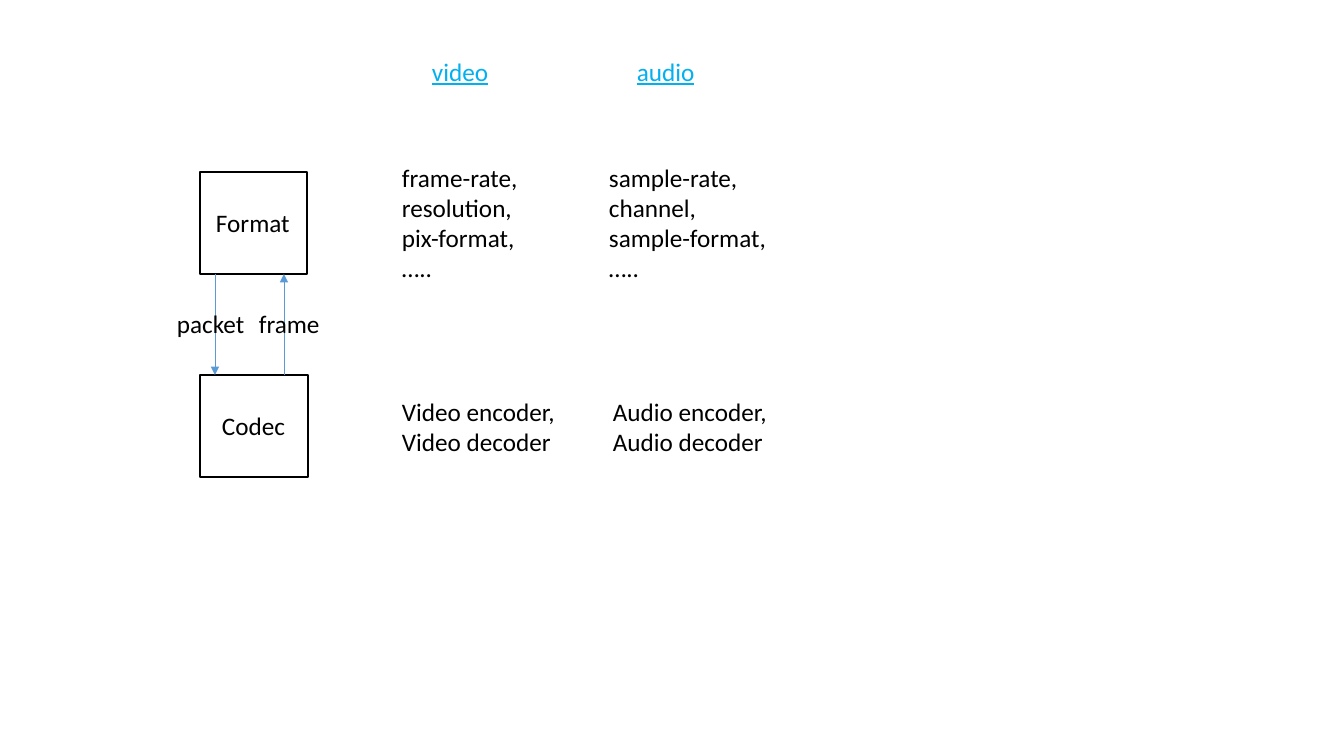
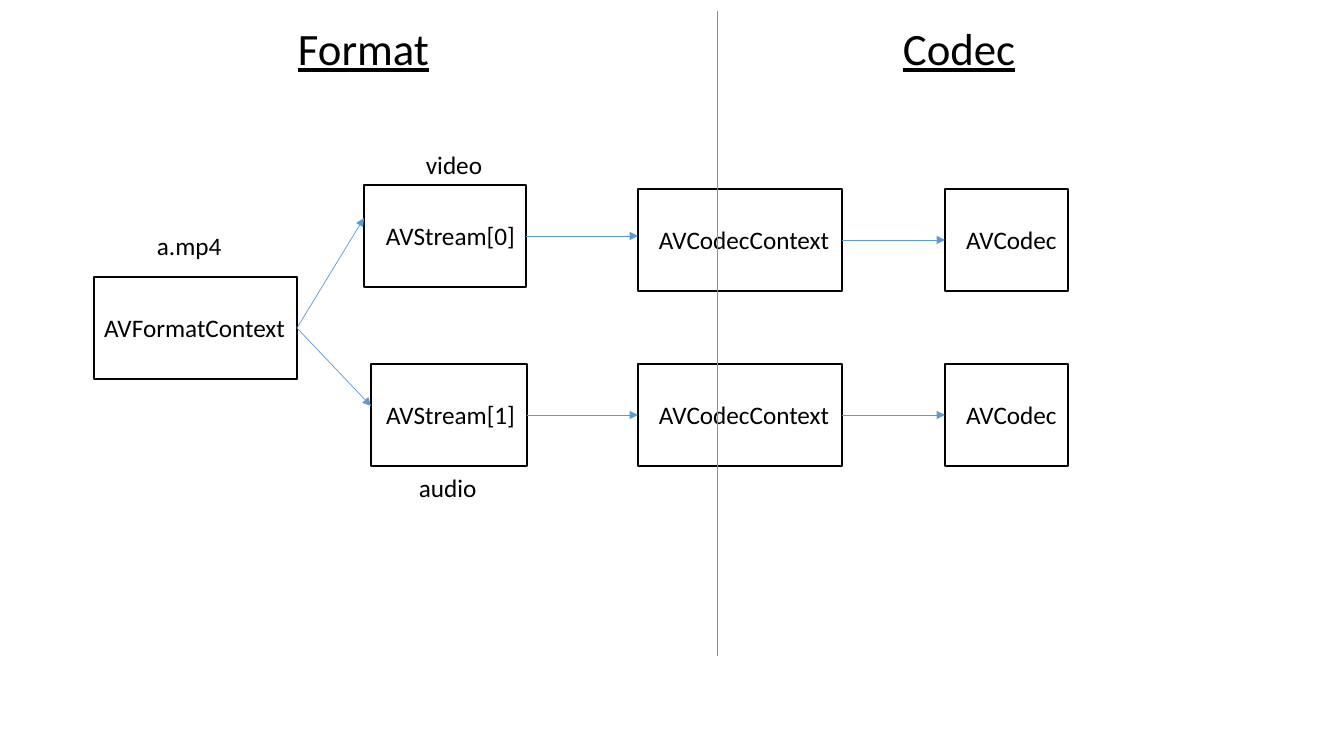
"""Build two slides on how media formats and codecs fit together."""
from dataclasses import dataclass

from lxml import etree
from pptx import Presentation
from pptx.dml.color import RGBColor
from pptx.enum import shapes, text
from pptx.oxml import ns
from pptx.util import Emu, Pt

EMU_PER_PX = 914400 / 100.8
FONT = "Calibri"
BLACK, WHITE, CYAN = "000000", "FFFFFF", "00B0F0"
BLUE, GREEN = "5B9BD5", "70AD47"
BODY, HEADING = 18, 32
INSET = 10
BOX_H = 102


@dataclass(frozen=True)
class Box:
    """A bordered node; inset is the gap left of its label."""
    label: str
    x: int
    y: int
    w: int
    inset: int = INSET

    @property
    def right(self) -> int:
        """Right edge of the node."""
        return self.x + self.w

    @property
    def bottom(self) -> int:
        """Bottom edge of the node."""
        return self.y + BOX_H

    @property
    def mid(self) -> int:
        """Vertical middle of the node."""
        return self.y + BOX_H // 2


@dataclass(frozen=True)
class Label:
    """Free text, one paragraph per line."""
    lines: tuple[str, ...]
    x: int
    y: int
    w: int
    h: int = 40
    size: int = BODY
    color: str = BLACK
    underline: bool = False


@dataclass(frozen=True)
class Line:
    """A straight line, with an arrowhead at its end unless told otherwise."""
    x1: int
    y1: int
    x2: int
    y2: int
    color: str = BLUE
    arrow: bool = True


def px(n: int) -> Emu:
    """Turn pixels into EMU."""
    return Emu(round(n * EMU_PER_PX))


def rgb(value: str) -> RGBColor:
    """Turn a hex string into a colour."""
    return RGBColor.from_string(value)


def write(tf, lines: tuple[str, ...], size: int = BODY,
          color: str = BLACK, underline: bool = False) -> None:
    """Fill a text frame with left-aligned lines."""
    for i, line in enumerate(lines):
        p = tf.add_paragraph() if i else tf.paragraphs[0]
        p.alignment = text.PP_ALIGN.LEFT
        r = p.add_run()
        r.text = line
        r.font.name = FONT
        r.font.size = Pt(size)
        r.font.underline = underline
        r.font.color.rgb = rgb(color)


def draw_box(s, box: Box) -> None:
    """Draw a white node with a black border."""
    sp = s.shapes.add_shape(shapes.MSO_SHAPE.RECTANGLE,
                            px(box.x), px(box.y), px(box.w), px(BOX_H))
    sp.shadow.inherit = False
    sp.fill.solid()
    sp.fill.fore_color.rgb = rgb(WHITE)
    sp.line.color.rgb = rgb(BLACK)
    sp.line.width = Pt(1)
    tf = sp.text_frame
    tf.word_wrap = True
    tf.vertical_anchor = text.MSO_ANCHOR.MIDDLE
    tf.margin_left, tf.margin_right = px(box.inset), 0
    tf.margin_top, tf.margin_bottom = px(5), px(7)
    write(tf, (box.label,))


def draw_label(s, label: Label) -> None:
    """Draw a text box without fill or border."""
    sp = s.shapes.add_textbox(px(label.x), px(label.y), px(label.w), px(label.h))
    tf = sp.text_frame
    tf.word_wrap = False
    write(tf, label.lines, label.size, label.color, label.underline)


def draw_line(s, line: Line) -> None:
    """Draw a thin connector without shadow."""
    c = s.shapes.add_connector(shapes.MSO_CONNECTOR.STRAIGHT,
                               px(line.x1), px(line.y1), px(line.x2), px(line.y2))
    c.line.color.rgb = rgb(line.color)
    c.line.width = Pt(0.5)
    if line.arrow:
        etree.SubElement(c.line._get_or_add_ln(), ns.qn("a:tailEnd"), type="triangle")
    etree.SubElement(c._element.spPr, ns.qn("a:effectLst"))


def add_slide(prs, boxes: list[Box], lines: list[Line], labels: list[Label]) -> None:
    """Add a slide: boxes at the back, then lines, then labels."""
    s = prs.slides.add_slide(prs.slide_layouts.get_by_name("Blank"))
    for items, draw in ((boxes, draw_box), (lines, draw_line), (labels, draw_label)):
        for item in items:
            draw(s, item)


def build_layers(prs) -> None:
    """Slide 1: the format and codec layers, for video and audio."""
    fmt = Box("Format", 200, 172, 107, 16)
    codec = Box("Codec", 200, 375, 108, 22)
    lines = [Line(215, fmt.bottom, 215, codec.y),
             Line(284, codec.y, 284, fmt.bottom)]
    labels = [
        Label(("frame-rate,", "resolution,", "pix-format,", "….."), 392, 157, 137, 132),
        Label(("sample-rate,", "channel,", "sample-format,", "….."), 599, 157, 179, 132),
        Label(("video",), 422, 51, 78, color=CYAN, underline=True),
        Label(("audio",), 627, 51, 79, color=CYAN, underline=True),
        Label(("Video encoder,", "Video decoder"), 392, 391, 175, 72),
        Label(("Audio encoder,", "Audio decoder"), 603, 391, 175, 72),
        Label(("packet",), 167, 303, 89),
        Label(("frame",), 249, 303, 82),
    ]
    add_slide(prs, [fmt, codec], lines, labels)


def build_structures(prs) -> None:
    """Slide 2: from the format context through streams to codecs."""
    source = Box("AVFormatContext", 94, 277, 203)
    streams = [Box("AVStream[0]", 364, 185, 162, 22),
               Box("AVStream[1]", 371, 364, 156, 15)]
    boxes, lines = [source], []
    for stream, row_y, entry_y in zip(streams, (189, 364), (218, 406)):
        context = Box("AVCodecContext", 638, row_y, 204, 21)
        codec = Box("AVCodec", 945, row_y, 123, 21)
        boxes += [stream, context, codec]
        lines += [Line(source.right, source.mid, stream.x, entry_y),
                  Line(stream.right, stream.mid, context.x, stream.mid),
                  Line(context.right, context.mid, codec.x, codec.mid)]
    lines.append(Line(717, 11, 717, 656, GREEN, arrow=False))
    labels = [
        Label(("a.mp4",), 147, 225, 86),
        Label(("video",), 416, 144, 77),
        Label(("audio",), 409, 467, 79),
        Label(("Format",), 288, 16, 153, 65, HEADING, underline=True),
        Label(("Codec",), 893, 16, 134, 65, HEADING, underline=True),
    ]
    add_slide(prs, boxes, lines, labels)


def main() -> None:
    """Build and save the presentation."""
    prs = Presentation()
    prs.slide_width, prs.slide_height = px(1344), px(756)
    build_layers(prs)
    build_structures(prs)
    prs.save("out.pptx")


main()
